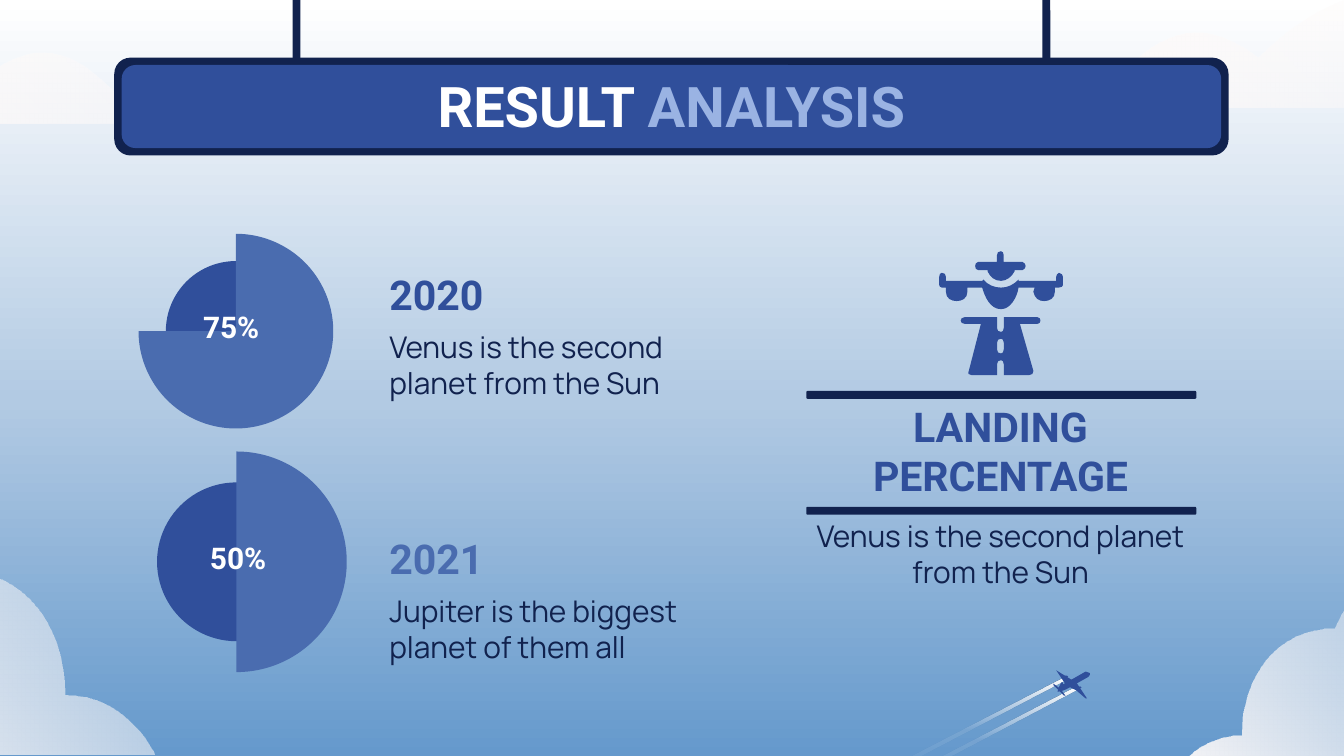
from pptx import Presentation
from pptx.dml.color import RGBColor
from pptx.enum.shapes import MSO_SHAPE as SHAPE
from pptx.enum.text import MSO_ANCHOR as ANCHOR, PP_ALIGN as ALIGN
from pptx.oxml.ns import qn
from pptx.util import Cm, Pt
from lxml.etree import SubElement

COLORS = {
    "navy": "11224E", "blue": "304F9B", "steel": "4A6CAF", "pale": "9AB3E3",
    "white": "FFFFFF", "cream": "FEFAF9", "sky": "6599CC", "haze": "B2CAE3",
}
CLOUD_STOPS = [(0, "cream", 19), (100, "cream", 100)]
TRAIL_STOPS = [(0, "white", 100), (50, "cream", 10), (100, "cream", 0)]

# left, top, width in cm, width in path units, outline
CLOUDS = [
    (-3.1, -0.08, 6.91, 272, "M 0 14 C 0 14 51 0 111 60 C 156 25 184 48 209 73 "
     "C 257 58 272 95 272 95 L 0 95 Z"),
    (-3.96, 8.15, 6.88, 271, "M 0 12 C 0 12 75 0 123 103 C 175 103 204 146 204 196 "
     "C 251 196 271 241 271 241 L 0 241 Z"),
    (22.05, 9.68, 5.82, 229, "M 229 10 C 229 10 165 0 125 86 C 81 86 56 123 56 165 "
     "C 17 165 0 203 0 203 L 229 203 Z"),
    (19.46, -0.51, 7.26, 286, "M 286 15 C 286 15 233 0 170 63 C 122 26 92 51 66 77 "
     "C 15 60 0 100 0 100 L 286 100 Z"),
]
RUNWAY = (
    "M 46 65 C 47 65 48 66 48 68 L 48 73 C 48 75 47 76 46 76 C 44 76 43 75 43 73 "
    "L 43 68 C 43 66 44 65 46 65 Z "
    "M 19 49 C 15 49 15 54 19 54 L 31 54 L 22 89 C 21 91 22 92 24 92 L 43 92 L 43 84 "
    "C 43 82 44 81 46 81 C 47 81 48 82 48 84 L 48 92 L 67 92 C 69 92 70 91 70 89 "
    "L 60 54 L 73 54 C 76 54 76 49 73 49 L 48 49 L 48 57 C 48 59 47 60 46 60 "
    "C 44 60 43 59 43 57 L 43 49 Z")
TAIL = (
    "M 46 0 C 44 0 43 1 43 3 L 43 8 L 29 8 C 26 8 26 14 29 14 L 36 14 L 36 15 "
    "C 38 19 41 22 46 22 C 50 22 54 19 56 15 L 56 14 "
    "L 62 14 C 65 13 65 9 62 8 L 48 8 L 48 3 C 48 1 47 0 46 0 Z")
WINGS = (
    "M 2 16 C 1 16 0 17 0 19 L 0 25 C 0 26 1 27 2 27 L 5 27 L 5 30 "
    "C 5 35 9 37 13 37 C 17 37 21 35 21 30 L 21 27 L 32 27 "
    "C 34 34 38 43 46 43 C 53 43 58 34 59 27 L 71 27 L 70 30 "
    "C 71 35 74 37 78 37 C 82 37 86 35 86 30 L 86 27 L 89 27 "
    "C 91 27 92 26 92 25 L 92 19 C 92 18 91 16 89 16 C 88 16 87 18 87 19 L 87 22 "
    "L 59 22 L 59 21 C 55 25 51 27 46 27 C 41 27 36 25 33 21 L 32 22 L 5 22 "
    "L 5 19 C 5 17 4 16 2 16 Z")
JET_PARTS = [
    "M 24 1 L 10 9 C 8 10 6 11 4 13 L 3 16 C 6 16 10 14 10 14 L 26 5 "
    "C 28 3 27 2 27 2 C 26 2 25 1 24 1 Z",
    "M 2 0 L 8 9 L 11 12 L 17 15 L 24 21 L 25 21 L 17 9 L 15 8 Z",
    "M 0 10 L 0 11 L 4 15 L 8 19 L 9 19 L 6 15 L 4 13 Z",
    "M 7 9 L 6 9 L 4 13 L 7 11 Z",
    "M 20 12 L 17 13 L 19 14 L 21 13 Z M 10 4 L 8 4 L 9 6 L 11 5 Z",
]
TRAIL = "M 2 78 L 0 75 L 145 0 L 147 2 Z"


def rgb(name):
    return RGBColor.from_string(COLORS[name])


def paint_gradient(fill, element, stops, angle):
    """Fill with (position, colour, opacity) stops; angle is counter-clockwise."""
    fill.gradient()
    fill.gradient_angle = angle
    gs_list = next(element.iter(qn("a:gsLst")))
    for gs in list(gs_list):
        gs_list.remove(gs)
    for pos, color, alpha in stops:
        gs = SubElement(gs_list, qn("a:gs"), pos=str(pos * 1000))
        clr = SubElement(gs, qn("a:srgbClr"), val=COLORS[color])
        if alpha < 100:
            SubElement(clr, qn("a:alpha"), val=str(alpha * 1000))


def finish(sp, color):
    sp.shadow.inherit = False
    sp.line.fill.background()
    if color:
        sp.fill.solid()
        sp.fill.fore_color.rgb = rgb(color)
    return sp


def add_preset(slide, kind, box, color):
    sp = slide.shapes.add_shape(kind, *[Cm(v) for v in box])
    return finish(sp, color)


def bend_curves(sp, outline):
    """Join the three lines drawn for each C command into one Bézier curve."""
    lines = iter(list(sp.element.iter(qn("a:lnTo"))))
    for command in outline.split():
        if command in ("L", "C"):
            line = next(lines)
        if command == "C":
            line.tag = qn("a:cubicBezTo")
            for _ in range(2):
                extra = next(lines)
                line.append(extra[0])
                extra.getparent().remove(extra)


def add_outline(slide, left, top, width, units, outline, color=None):
    builder = None
    for contour in outline.split("Z")[:-1]:
        nums = [int(n) for n in contour.split() if n.isdigit()]
        points = [(Cm(left + x * width / units), Cm(top + y * width / units))
                  for x, y in zip(nums[::2], nums[1::2])]
        if builder is None:
            builder = slide.shapes.build_freeform(*points[0], scale=1.0)
        else:
            builder.move_to(*points[0])
        builder.add_line_segments(points[1:], close=True)
    sp = builder.convert_to_shape()
    bend_curves(sp, outline)
    return finish(sp, color)


def add_text(slide, box, *runs, size=16, font="Roboto", bold=True,
             align=ALIGN.LEFT, anchor=ANCHOR.MIDDLE):
    """Add one paragraph made of (text, colour) runs."""
    tf = slide.shapes.add_textbox(*[Cm(v) for v in box]).text_frame
    tf.word_wrap = True
    tf.vertical_anchor = anchor
    tf.margin_left = tf.margin_right = tf.margin_top = tf.margin_bottom = Cm(0.25)
    p = tf.paragraphs[0]
    p.alignment = align
    for text, color in runs:
        r = p.add_run()
        r.text = text
        r.font.name, r.font.size, r.font.bold = font, Pt(size), bold
        r.font.color.rgb = rgb(color)


def add_entry(slide, left, width, heading_top, body_top, heading, color, body, align):
    add_text(slide, (left, heading_top, width, 1.5), (heading, color), size=22, align=align)
    add_text(slide, (left, body_top, width, 1.75), (body, "navy"), font="Manrope",
             bold=False, align=align, anchor=ANCHOR.TOP)


def add_sky(slide):
    paint_gradient(slide.background.fill, slide.element,
                   [(0, "sky", 100), (47, "haze", 100), (100, "white", 100)], 90)
    for cloud in CLOUDS:
        sp = add_outline(slide, *cloud)
        paint_gradient(sp.fill, sp.element, CLOUD_STOPS, 225)


def add_sign(slide, left, top, width, height):
    edge, rod, rod_inset = 0.14, 0.15, 3.37
    rounded = SHAPE.ROUNDED_RECTANGLE
    panel = (left + edge, top + edge, width - 2 * edge, height - 2 * edge)
    add_preset(slide, rounded, (left, top, width, height), "navy")
    add_preset(slide, rounded, panel, "blue")
    for x in (left + rod_inset, left + width - rod_inset - rod):
        add_preset(slide, rounded, (x, top - 1.78, rod, 1.85), "navy")
    add_text(slide, (left, top + 0.1, width, 1.6), ("RESULT ", "white"),
             ("ANALYSIS", "pale"), size=30, align=ALIGN.CENTER)


def add_share(slide, cx, cy, size, share, label_dx):
    """Draw a pie of the given share over a smaller disc, both centred on cx, cy."""
    disc = 0.72 * size
    add_preset(slide, SHAPE.OVAL, (cx - disc / 2, cy - disc / 2, disc, disc), "blue")
    pie = add_preset(slide, SHAPE.PIE, (cx - size / 2, cy - size / 2, size, size), "steel")
    for i, degrees in enumerate((270, (270 + 360 * share) % 360)):
        pie.adjustments[i] = degrees * 0.6
    add_text(slide, (cx + label_dx - 1.6, cy - 0.74, 3.2, 1.32),
             (f"{share:.0%}", "white"), align=ALIGN.CENTER)


def add_landing(slide, left, top, width):
    for part in (RUNWAY, TAIL, WINGS):
        add_outline(slide, left + 2.94, top, 2.34, 92, part, "blue")
    add_entry(slide, left, width, top + 3.02, top + 4.78, "LANDING PERCENTAGE", "blue",
              "Venus is the second planet from the Sun", ALIGN.CENTER)
    for y in (top + 2.64, top + 4.83):
        add_preset(slide, SHAPE.ROUNDED_RECTANGLE, (left + 0.43, y, 7.37, 0.15), "navy")


def add_jet(slide, left, top):
    for shift in (0, 0.2):
        sp = add_outline(slide, left + shift, top + 0.13 + shift, 3.73, 147, TRAIL)
        paint_gradient(sp.fill, sp.element, TRAIL_STOPS, 270)
    for part in JET_PARTS:
        add_outline(slide, left + 3.48, top, 0.71, 28, part, "blue")


def main():
    prs = Presentation()
    prs.slide_width, prs.slide_height = Cm(25.4), Cm(14.29)
    slide = prs.slides.add_slide(prs.slide_layouts[6])
    add_sky(slide)
    add_sign(slide, 2.16, 1.09, 21.06, 1.85)
    add_share(slide, 4.46, 6.26, 3.68, 0.75, -0.09)
    add_share(slide, 4.47, 10.62, 4.17, 0.5, 0.03)
    for top, year, color, body in (
            (4.8, "2020", "blue", "Venus is the second planet from the Sun"),
            (9.8, "2021", "steel", "Jupiter is the biggest planet of them all")):
        add_entry(slide, 7.11, 6.22, top, top + 1.16, year, color, body, ALIGN.LEFT)
    add_landing(slide, 14.81, 4.75, 8.2)
    add_jet(slide, 16.43, 12.67)
    prs.save("out.pptx")


if __name__ == "__main__":
    main()
